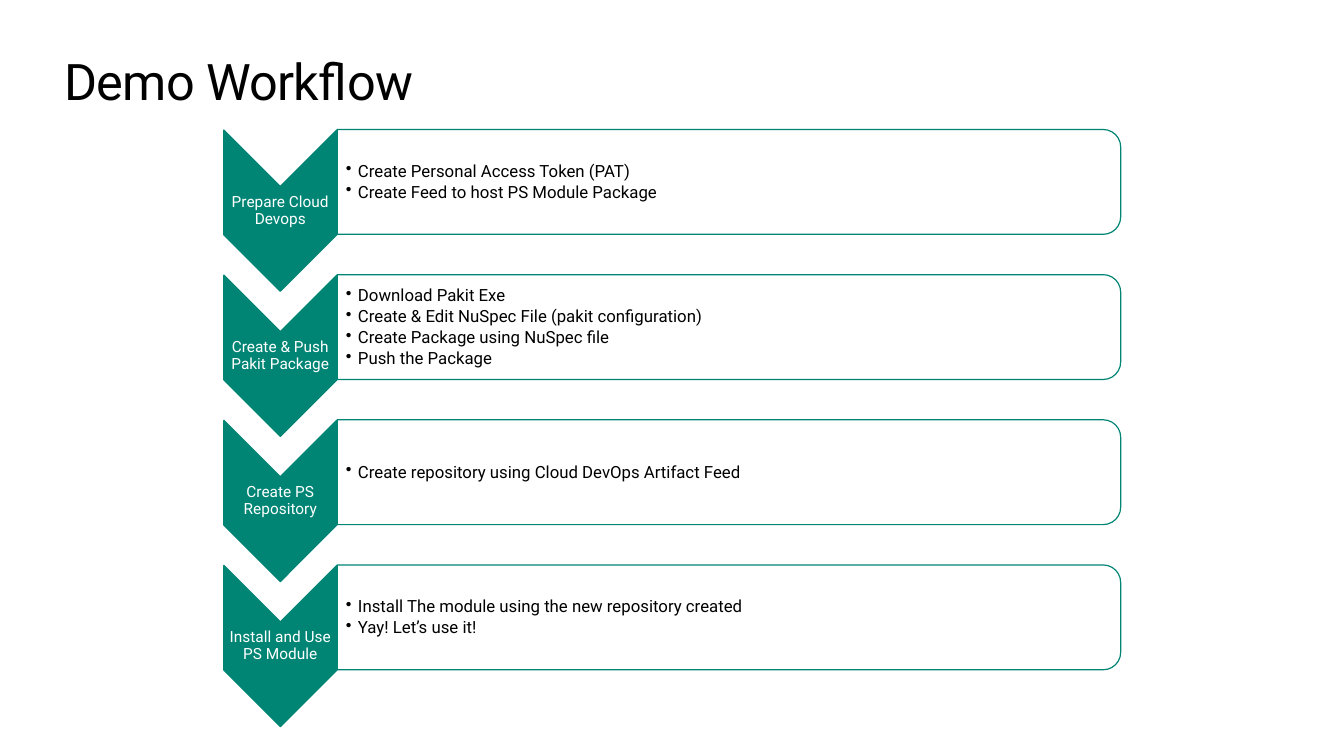
from lxml import etree
from pptx import Presentation
from pptx.dml.color import RGBColor
from pptx.enum.shapes import MSO_SHAPE as Shape
from pptx.enum.text import MSO_ANCHOR as Anchor, PP_ALIGN as Align
from pptx.oxml.ns import qn
from pptx.util import Inches, Pt

GREEN, WHITE, BLACK = "008575", "FFFFFF", "000000"
ROW_TOP, ROW_STEP = 1.34, 1.44
STEPS = [
    ("Prepare Cloud Devops",
     ["Create Personal Access Token (PAT)",
      "Create Feed to host PS Module Package"]),
    ("Create & Push Pakit Package",
     ["Download Pakit Exe",
      "Create & Edit NuSpec File (pakit configuration)",
      "Create Package using NuSpec file",
      "Push the Package"]),
    ("Create PS Repository",
     ["Create repository using Cloud DevOps Artifact Feed"]),
    ("Install and Use PS Module",
     ["Install The module using the new repository created",
      "Yay! Let’s use it!"]),
]


def add_rotated(kind, left, top, width, height, fill):
    shape = slide.shapes.add_shape(kind, Inches(left), Inches(top), Inches(width), Inches(height))
    shape.rotation = 90
    shape.shadow.inherit = False
    shape.fill.solid()
    shape.fill.fore_color.rgb = RGBColor.from_string(fill)
    shape.line.color.rgb = RGBColor.from_string(GREEN)
    shape.line.width = Pt(0.85)
    return shape


def write(shape, lines, size=12, color=BLACK, align=Align.LEFT, anchor=Anchor.MIDDLE,
          inset=0.01, left_inset=0.01, line_spacing=0.9, space_after=0, bullet=False):
    frame = shape.text_frame
    frame.word_wrap = True
    frame.vertical_anchor = anchor
    frame.margin_left = Inches(left_inset)
    frame.margin_top = frame.margin_right = frame.margin_bottom = Inches(inset)
    frame.text = "\n".join(lines)
    for paragraph in frame.paragraphs:
        paragraph.alignment = align
        paragraph.line_spacing = line_spacing
        paragraph.space_after = Pt(space_after)
        font = paragraph.runs[0].font
        font.name, font.size = "Roboto", Pt(size)
        font.color.rgb = RGBColor.from_string(color)
        if bullet:
            paragraph.level = 1
            properties = paragraph._p.get_or_add_pPr()
            properties.set("marL", str(Inches(0.12)))
            properties.set("indent", str(Inches(-0.12)))
            etree.SubElement(properties, qn("a:buChar")).set("char", "•")


presentation = Presentation()
presentation.slide_width, presentation.slide_height = Inches(13.33), Inches(7.5)
slide = presentation.slides.add_slide(presentation.slide_layouts[5])

# Title
title = slide.shapes.title
title.left, title.top, title.width, title.height = map(Inches, (0.64, 0.5, 12.05, 0.61))
write(title, ["Demo Workflow"], size=36, anchor=Anchor.TOP, inset=0, left_inset=0,
      line_spacing=1.0)
title.text_frame.paragraphs[0].runs[0].font._element.set("spc", "-50")

# Workflow steps: a downward chevron with a panel of tasks beside it
for row, (step, tasks) in enumerate(STEPS):
    top = ROW_TOP + row * ROW_STEP

    add_rotated(Shape.CHEVRON, 1.98, top + 0.19, 1.6, 1.12, GREEN)
    label = slide.shapes.add_textbox(Inches(2.22), Inches(top + 0.51), Inches(1.12), Inches(0.48))
    write(label, [step], size=11, color=WHITE, align=Align.CENTER)

    panel = add_rotated(Shape.ROUND_2_SAME_RECTANGLE, 6.71, top - 3.42, 1.04, 7.77, WHITE)
    panel_color = panel.fill._xPr.find(qn("a:solidFill"))[0]
    etree.SubElement(panel_color, qn("a:alpha")).set("val", "90000")
    task_list = slide.shapes.add_textbox(Inches(3.34), Inches(top), Inches(7.72), Inches(0.94))
    write(task_list, tasks, left_inset=0.09, space_after=2, bullet=True)

presentation.save("out.pptx")
